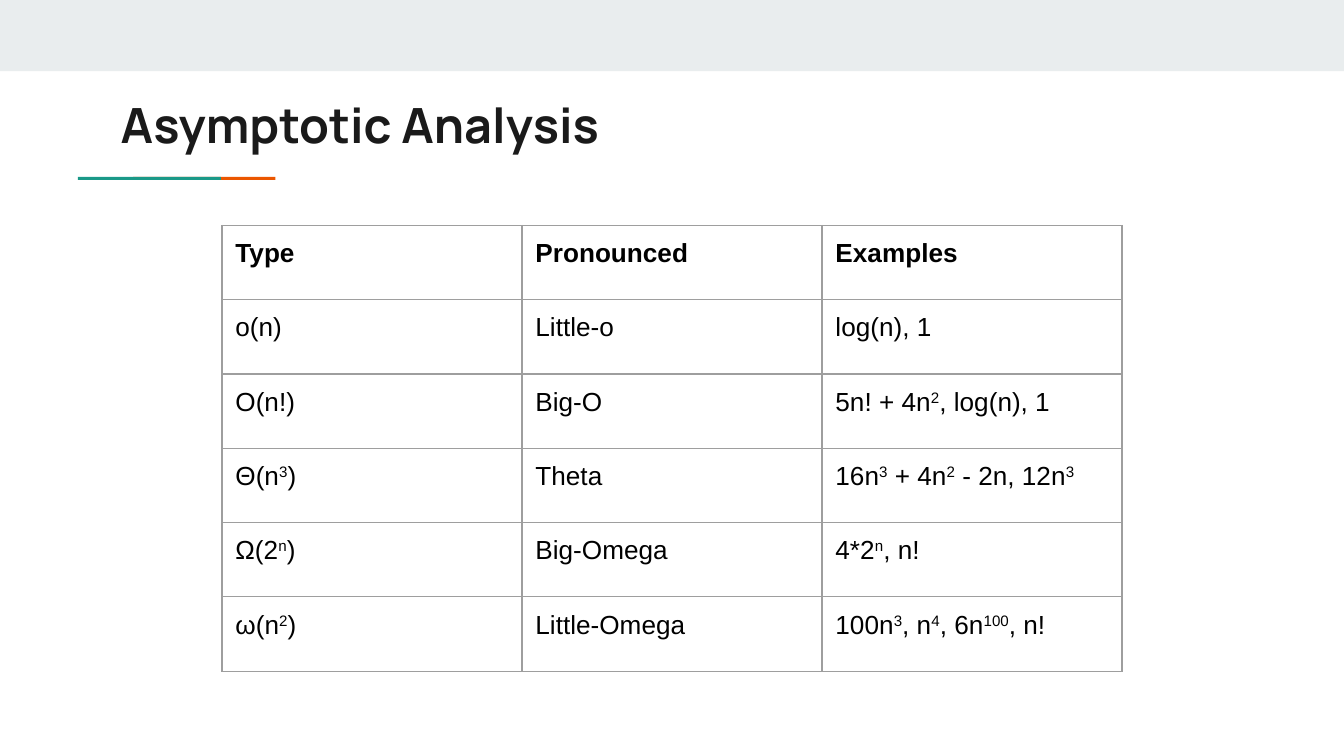
from pptx import Presentation
from pptx.dml.color import RGBColor
from pptx.enum.shapes import MSO_SHAPE
from pptx.oxml.ns import qn
from pptx.util import Pt
from lxml.etree import SubElement

TITLE = "Asymptotic Analysis"
# Text between a pair of carets is superscript.
ROWS = [
    ("Type", "Pronounced", "Examples"),
    ("o(n)", "Little-o", "log(n), 1"),
    ("O(n!)", "Big-O", "5n! + 4n^2^, log(n), 1"),
    ("Θ(n^3^)", "Theta", "16n^3^ + 4n^2^ - 2n, 12n^3^"),
    ("Ω(2^n^)", "Big-Omega", "4*2^n^, n!"),
    ("ω(n^2^)", "Little-Omega", "100n^3^, n^4^, 6n^100^, n!"),
]
# left, top, width, height, colour
BARS = [
    (0, 0, 720, 38.2, "E9EDEE"),
    (71.3, 94.8, 76.3, 1.6, "EB5600"),
    (41.8, 94.8, 76.6, 1.6, "1A9988"),
]
TABLE_LEFT, TABLE_TOP = 118.9, 120.75
COLUMN_WIDTH, ROW_HEIGHT = 160.75, 39.8
INSET = 7.2
BORDER_COLOR, BORDER_WIDTH = "9E9E9E", 0.75


def color(value):
    return RGBColor.from_string(value)


def style(font, name, size, ink, bold):
    font.name, font.size, font.bold = name, Pt(size), bold
    font.color.rgb = color(ink)


def add_bar(page, left, top, width, height, fill):
    bar = page.shapes.add_shape(
        MSO_SHAPE.RECTANGLE, Pt(left), Pt(top), Pt(width), Pt(height))
    bar.shadow.inherit = False
    bar.fill.solid()
    bar.fill.fore_color.rgb = color(fill)
    bar.line.fill.background()


def add_title(page):
    box = page.shapes.add_textbox(Pt(57.6), Pt(45.4), Pt(605.5), Pt(42.5))
    frame = box.text_frame
    frame.word_wrap = True
    frame.margin_left = frame.margin_right = frame.margin_bottom = Pt(INSET)
    frame.margin_top = Pt(5.7)
    para = frame.paragraphs[0]
    para.text = TITLE
    style(para.font, "Manrope", 26, "1A1A1A", True)


def add_borders(cell):
    """Draw all four cell edges; they must precede the fill in the XML."""
    properties = cell._tc.get_or_add_tcPr()
    for edge in ("a:lnL", "a:lnR", "a:lnT", "a:lnB"):
        line = SubElement(properties, qn(edge), w=str(Pt(BORDER_WIDTH)))
        fill = SubElement(line, qn("a:solidFill"))
        SubElement(fill, qn("a:srgbClr"), val=BORDER_COLOR)


def fill_cell(cell, text, bold):
    add_borders(cell)
    cell.fill.background()
    cell.margin_left = cell.margin_right = Pt(INSET)
    cell.margin_top = cell.margin_bottom = Pt(INSET)
    para = cell.text_frame.paragraphs[0]
    style(para.font, "Arial", 14, "000000", bold)
    for index, piece in enumerate(text.split("^")):
        if piece:
            span = para.add_run()
            span.text = piece
            if index % 2:
                span._r.get_or_add_rPr().set("baseline", "30000")


def add_notation_table(page):
    row_count, column_count = len(ROWS), len(ROWS[0])
    table = page.shapes.add_table(
        row_count, column_count, Pt(TABLE_LEFT), Pt(TABLE_TOP),
        Pt(COLUMN_WIDTH * column_count), Pt(ROW_HEIGHT * row_count)).table
    table.first_row = table.horz_banding = False
    for column in table.columns:
        column.width = Pt(COLUMN_WIDTH)
    for row_index, (row, texts) in enumerate(zip(table.rows, ROWS)):
        row.height = Pt(ROW_HEIGHT)
        for cell, text in zip(row.cells, texts):
            fill_cell(cell, text, row_index == 0)


def main():
    deck = Presentation()
    deck.slide_width, deck.slide_height = Pt(720), Pt(405)
    page = deck.slides.add_slide(deck.slide_layouts[6])
    for bar in BARS:
        add_bar(page, *bar)
    add_title(page)
    add_notation_table(page)
    deck.save("out.pptx")


if __name__ == "__main__":
    main()
